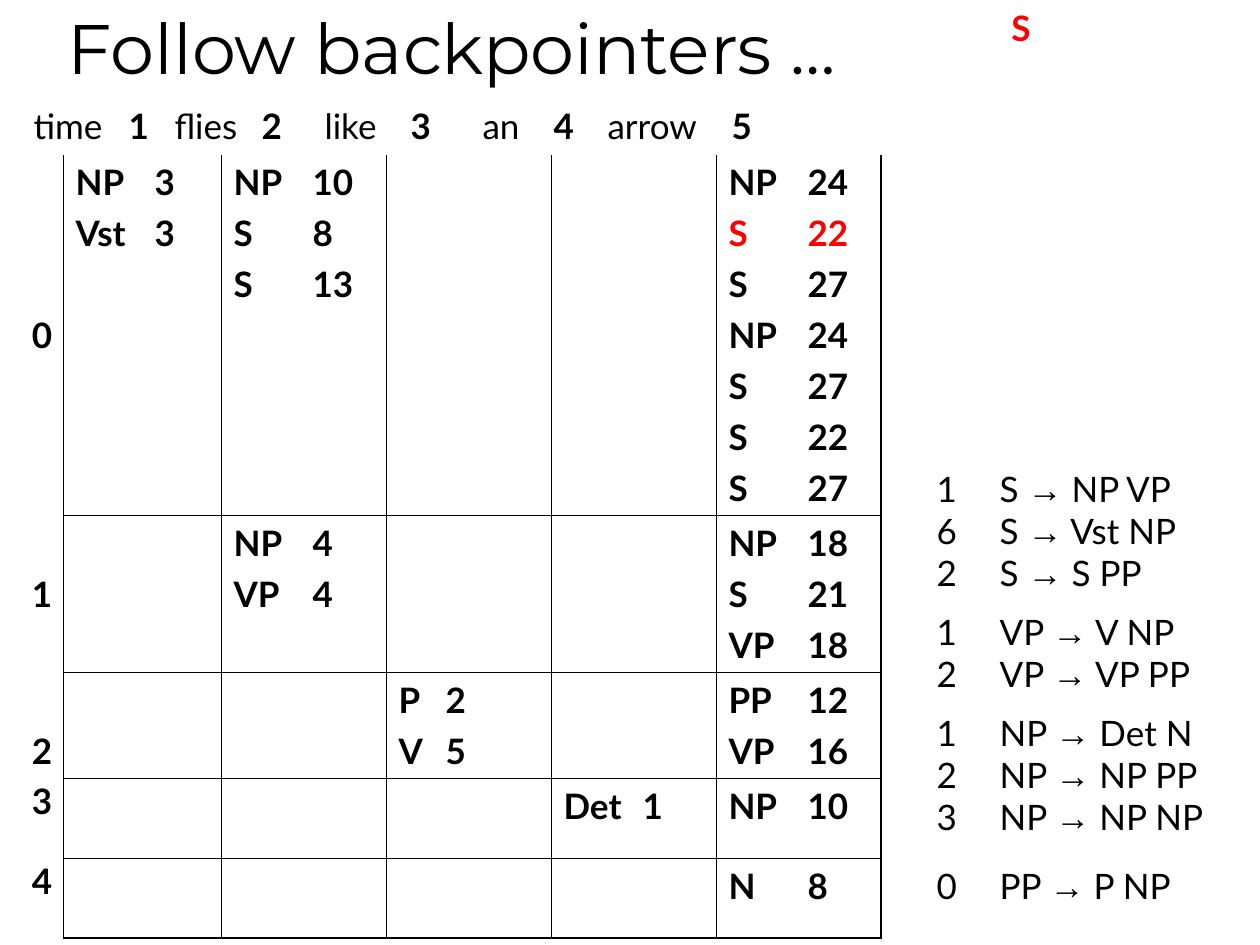
from lxml import etree
from pptx import Presentation, util as u
from pptx.dml.color import RGBColor
from pptx.enum import text
from pptx.oxml import ns

PX = u.Inches(1) // 126
COLORS = {"ink": "000000", "highlight": "FF0000"}
BODY, SYMBOL, DISPLAY = "Lato", "Arial", "Montserrat"
NO_STYLE = "{2D5ABB26-0587-4C30-8999-92F81FD0307C}"
THIN, THICK = 0.45, 1.08

HEADER = ["time", "1", "flies", "2", "like", "3", "an", "4", "arrow", "5"]
HEADER_TABS = [95, 141, 228, 291, 377, 449, 520, 574, 698]
COLUMN_WIDTHS = [42, 158, 165, 165, 165, 165]
ROW_HEIGHTS = [56, 359, 156, 106, 80, 80]
ROW_LABELS = [
    (text.MSO_ANCHOR.MIDDLE, 1),
    (text.MSO_ANCHOR.MIDDLE, 1),
    (text.MSO_ANCHOR.BOTTOM, 1),
    (text.MSO_ANCHOR.TOP, 0.9),
    (text.MSO_ANCHOR.TOP, 0.9),
]
ENTRIES = {
    (0, 1): "NP 3|Vst 3",
    (0, 2): "NP 10|S 8|S 13",
    (0, 5): "NP 24|S 22|S 27|NP 24|S 27|S 22|S 27",
    (1, 2): "NP 4|VP 4",
    (1, 5): "NP 18|S 21|VP 18",
    (2, 3): "P 2|V 5",
    (2, 5): "PP 12|VP 16",
    (3, 4): "Det 1",
    (3, 5): "NP 10",
    (4, 5): "N 8",
}
HIGHLIGHT = (0, 5, 1)
RULES = [
    (1, "S", "NP VP", 0),
    (6, "S", "Vst NP", 0),
    (2, "S", "S PP", 0),
    (1, "VP", "V NP", 17),
    (2, "VP", "VP PP", 0),
    (1, "NP", "Det N", 17),
    (2, "NP", "NP PP", 0),
    (3, "NP", "NP NP", 0),
    (0, "PP", "P NP", 27),
]


def place(shape, box):
    """Move a shape to a box of left, top, width and height in px."""
    shape.left, shape.top, shape.width, shape.height = (n * PX for n in box)


def style(run, size=20, bold=False, color="ink", font=BODY):
    """Format one run."""
    run.font.name, run.font.size, run.font.bold = font, u.Pt(size), bold
    run.font.color.rgb = RGBColor.from_string(COLORS[color])


def set_tabs(paragraph, stops):
    """Give a paragraph left tab stops in px."""
    properties = paragraph._p.get_or_add_pPr()
    tabs = etree.SubElement(properties, ns.qn("a:tabLst"))
    for stop in stops:
        etree.SubElement(tabs, ns.qn("a:tab"), pos=str(stop * PX), algn="l")


def set_borders(cell, borders):
    """Draw cell borders, given as side and width pairs in schema order."""
    properties = cell._tc.get_or_add_tcPr()
    for side, width in borders:
        line = etree.SubElement(properties, ns.qn("a:ln" + side), w=str(u.Pt(width)))
        fill = etree.SubElement(line, ns.qn("a:solidFill"))
        etree.SubElement(fill, ns.qn("a:srgbClr"), val=COLORS["ink"])


def add_paragraphs(frame, count):
    """Return the given number of paragraphs of a text frame."""
    return [frame.paragraphs[0]] + [frame.add_paragraph() for _ in range(count - 1)]


def fill_header(cell):
    """Write the sentence with its bold word positions."""
    paragraph = cell.text_frame.paragraphs[0]
    set_tabs(paragraph, HEADER_TABS)
    for index, word in enumerate(HEADER):
        run = paragraph.add_run()
        run.text = "\t" + word if index else word
        style(run, bold=index % 2 == 1)


def fill_label(cell, row):
    """Write the start position of a chart row."""
    cell.vertical_anchor, spacing = ROW_LABELS[row]
    cell.margin_left = cell.margin_right = 0
    cell.text_frame.text = str(row)
    paragraph = cell.text_frame.paragraphs[0]
    paragraph.alignment = text.PP_ALIGN.CENTER
    paragraph.line_spacing = spacing
    style(paragraph.runs[0], bold=True)


def fill_entries(cell, row, column):
    """Write the constituents of a chart cell with their weights."""
    entries = ENTRIES[row, column].split("|")
    paragraphs = add_paragraphs(cell.text_frame, len(entries))
    for index, (paragraph, entry) in enumerate(zip(paragraphs, entries)):
        paragraph.text = entry.replace(" ", "\t")
        paragraph.space_before = u.Pt(5 if index else 0)
        set_tabs(paragraph, [47 if column == 3 else 79])
        color = "highlight" if (row, column, index) == HIGHLIGHT else "ink"
        style(paragraph.runs[0], bold=True, color=color)


def add_parse_chart(slide, box):
    """Add the parse table with its header, labels and entries."""
    rows, columns = len(ROW_HEIGHTS), len(COLUMN_WIDTHS)
    frame = slide.shapes.add_table(rows, columns, *(n * PX for n in box))
    table = frame.table
    table.first_row = table.horz_banding = False
    table._tbl.tblPr.find(ns.qn("a:tableStyleId")).text = NO_STYLE
    for column, width in zip(table.columns, COLUMN_WIDTHS):
        column.width = width * PX
    for row, height in zip(table.rows, ROW_HEIGHTS):
        row.height = height * PX
    table.cell(0, 0).merge(table.cell(0, columns - 1))
    fill_header(table.cell(0, 0))
    for row in range(rows - 1):
        fill_label(table.cell(row + 1, 0), row)
        for column in range(1, columns):
            cell = table.cell(row + 1, column)
            borders = [("L", THIN), ("R", THICK if column == columns - 1 else THIN)]
            if row:
                borders.append(("T", THIN))
            borders.append(("B", THICK if row == rows - 2 else THIN))
            set_borders(cell, borders)
            if (row, column) in ENTRIES:
                fill_entries(cell, row, column)
    for cell in table.iter_cells():
        cell.fill.background()


def add_grammar(slide, box):
    """Write the weighted grammar rules in the body placeholder."""
    body = slide.placeholders[1]
    place(body, box)
    frame = body.text_frame
    frame.auto_size = text.MSO_AUTO_SIZE.NONE
    for paragraph, rule in zip(add_paragraphs(frame, len(RULES)), RULES):
        weight, left, right, gap = rule
        properties = paragraph._p.get_or_add_pPr()
        properties.set("marL", "0")
        properties.set("indent", "0")
        paragraph.space_before = gap * PX
        etree.SubElement(properties, ns.qn("a:buNone"))
        set_tabs(paragraph, [38])
        parts = [(f"{weight}\t{left} ", BODY), ("→", SYMBOL), (f" {right}", BODY)]
        for words, font in parts:
            run = paragraph.add_run()
            run.text = words
            style(run, font=font)


def add_title(slide, box):
    """Write the slide title."""
    title = slide.shapes.title
    place(title, box)
    frame = title.text_frame
    frame.text = "Follow backpointers …"
    frame.auto_size = text.MSO_AUTO_SIZE.NONE
    frame.vertical_anchor = text.MSO_ANCHOR.BOTTOM
    frame.paragraphs[0].alignment = text.PP_ALIGN.LEFT
    style(frame.paragraphs[0].runs[0], size=40, font=DISPLAY)


def add_tree_root(slide, box):
    """Add the root symbol of the parse tree."""
    frame = slide.shapes.add_textbox(*(n * PX for n in box)).text_frame
    frame.word_wrap = False
    frame.text = "S"
    frame.paragraphs[0].alignment = text.PP_ALIGN.CENTER
    style(frame.paragraphs[0].runs[0], bold=True, color="highlight")


def main():
    """Build and save the presentation."""
    presentation = Presentation()
    presentation.slide_width, presentation.slide_height = 1260 * PX, 945 * PX
    slide = presentation.slides.add_slide(presentation.slide_layouts[1])
    add_title(slide, (55, 8, 1071, 87))
    add_parse_chart(slide, (21, 99, sum(COLUMN_WIDTHS), sum(ROW_HEIGHTS)))
    add_grammar(slide, (924, 461, 336, 454))
    add_tree_root(slide, (999, 0, 44, 55))
    presentation.save("out.pptx")


if __name__ == "__main__":
    main()
